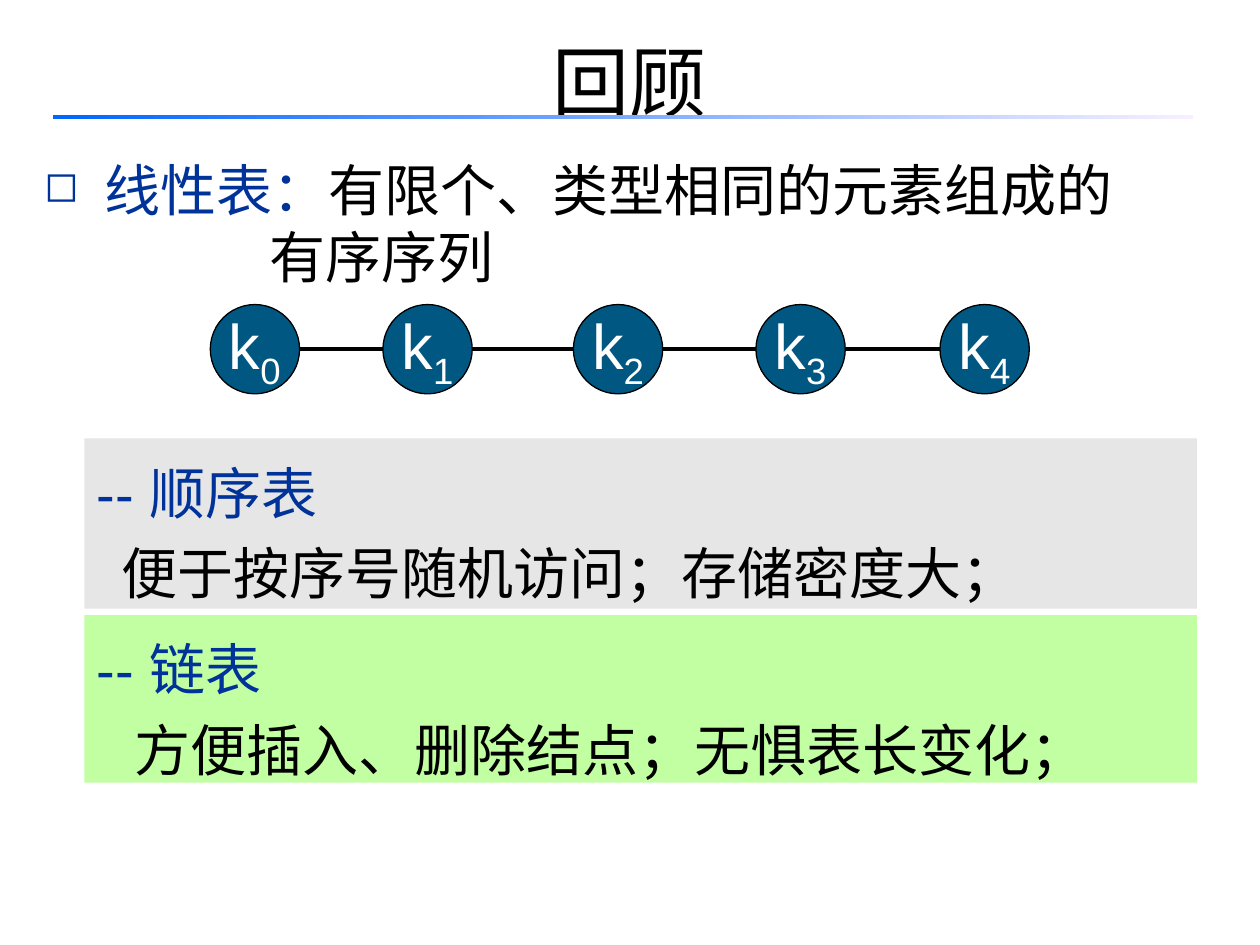
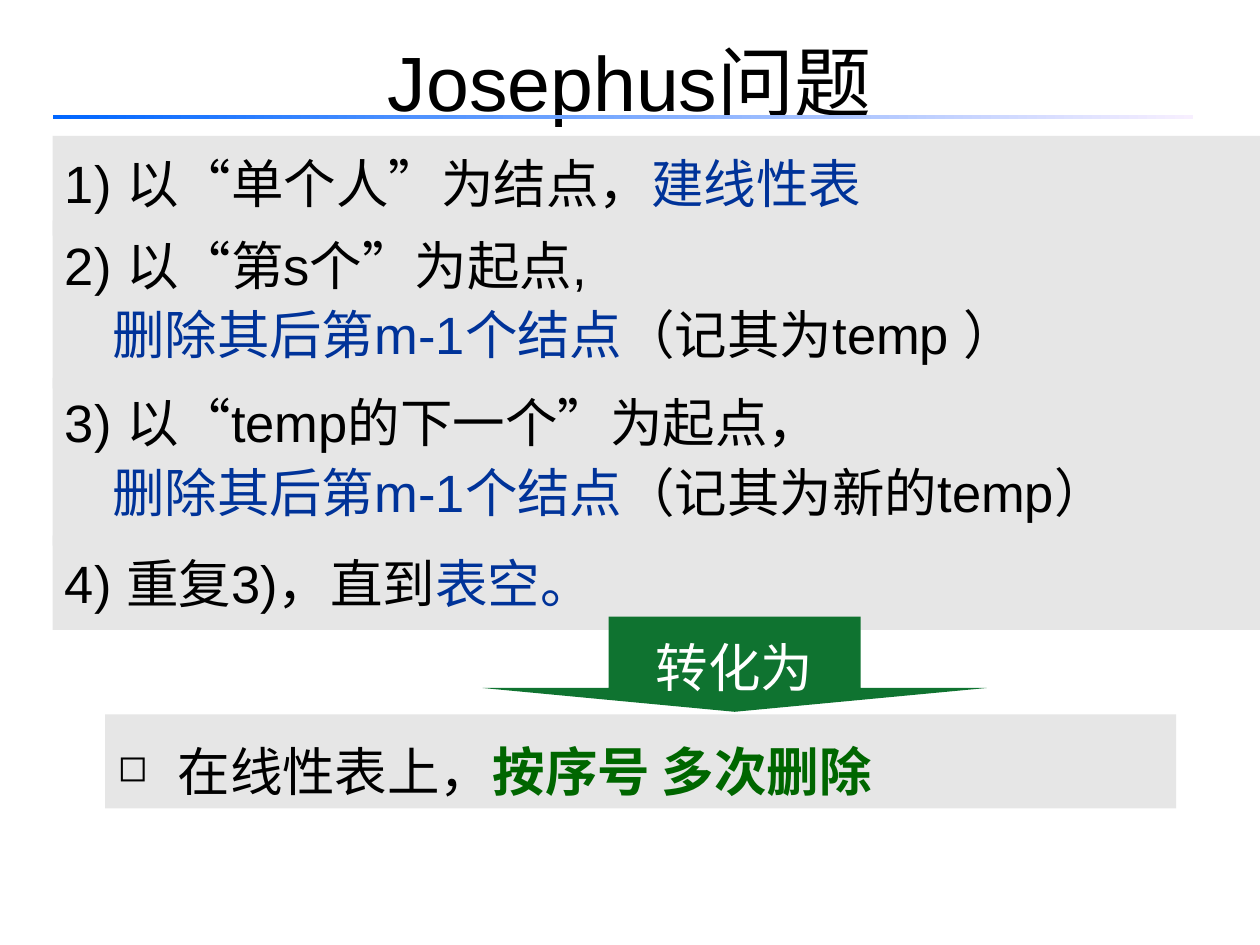
from dataclasses import dataclass
from itertools import pairwise

from lxml import etree
from pptx import Presentation
from pptx.dml.color import RGBColor
from pptx.enum.lang import MSO_LANGUAGE_ID
from pptx.enum.shapes import MSO_CONNECTOR, MSO_SHAPE
from pptx.enum.text import MSO_ANCHOR, PP_ALIGN
from pptx.oxml.ns import qn
from pptx.util import Cm, Pt

RECTANGLE, OVAL, DOWN_ARROW = MSO_SHAPE.RECTANGLE, MSO_SHAPE.OVAL, MSO_SHAPE.DOWN_ARROW
STRAIGHT = MSO_CONNECTOR.STRAIGHT
LEFT, CENTER = PP_ALIGN.LEFT, PP_ALIGN.CENTER
TOP, MIDDLE = MSO_ANCHOR.TOP, MSO_ANCHOR.MIDDLE
CHINESE = MSO_LANGUAGE_ID.SIMPLIFIED_CHINESE

BLACK = RGBColor(0x00, 0x00, 0x00)
WHITE = RGBColor(0xFF, 0xFF, 0xFF)
BLUE = RGBColor(0x00, 0x33, 0x99)
GREEN = RGBColor(0x00, 0x66, 0x00)
ARROW_GREEN = RGBColor(0x0F, 0x73, 0x30)
NODE_BLUE = RGBColor(0x00, 0x57, 0x82)
GREY = RGBColor(0xE6, 0xE6, 0xE6)
LIME = RGBColor(0xC2, 0xFF, 0xA3)
RULE_START = RGBColor(0x00, 0x66, 0xFF)
RULE_END = RGBColor(0xF7, 0xEF, 0xFF)

LATIN_FONT = "Arial"
CHINESE_FONT = "Noto Sans CJK SC"
BULLET = "◻"
BULLET_HANG = 1.21  # cm


@dataclass(frozen=True)
class Span:
    text: str
    color: RGBColor = BLACK
    bold: bool = False
    font: str | None = None
    baseline: int = 0


@dataclass(frozen=True)
class Line:
    spans: tuple[Span, ...]
    spacing: float = 1.0
    indent: float = 0  # cm
    bullet_percent: int = 0


@dataclass(frozen=True)
class Area:
    """Left, top, width and height in centimetres."""
    left: float
    top: float
    width: float
    height: float

    def lengths(self) -> tuple:
        return Cm(self.left), Cm(self.top), Cm(self.width), Cm(self.height)


@dataclass(frozen=True)
class Panel:
    area: Area
    lines: tuple[Line, ...]
    fill: RGBColor = GREY


def add_bullet(para, color: RGBColor, percent: int) -> None:
    properties = para._p.get_or_add_pPr()
    properties.set("marL", str(Cm(BULLET_HANG)))
    properties.set("indent", str(-Cm(BULLET_HANG)))
    bullet_color = etree.SubElement(properties, qn("a:buClr"))
    etree.SubElement(bullet_color, qn("a:srgbClr"), val=str(color))
    etree.SubElement(properties, qn("a:buSzPct"), val=str(percent * 1000))
    etree.SubElement(properties, qn("a:buChar"), char=BULLET)


def write(box, lines: tuple[Line, ...], size: float, align=LEFT, anchor=TOP,
          wrap: bool = True) -> None:
    frame = box.text_frame
    frame.word_wrap = wrap
    frame.vertical_anchor = anchor
    for number, line in enumerate(lines):
        para = frame.add_paragraph() if number else frame.paragraphs[0]
        para.alignment = align
        para.line_spacing = line.spacing
        if line.bullet_percent:
            add_bullet(para, line.spans[0].color, line.bullet_percent)
        elif line.indent:
            para._p.get_or_add_pPr().set("marL", str(Cm(line.indent)))
        para.font.size = Pt(size)
        para.font.name = LATIN_FONT
        for part in line.spans:
            span = para.add_run()
            span.text = part.text
            span.font.language_id = CHINESE
            span.font.color.rgb = part.color
            if part.bold:
                span.font.bold = True
            if part.font:
                span.font.name = part.font
            if part.baseline:
                span._r.get_or_add_rPr().set("baseline", str(part.baseline * 1000))


def add_filled(page, kind, area: Area, fill: RGBColor):
    shape = page.shapes.add_shape(kind, *area.lengths())
    shape.shadow.inherit = False
    shape.fill.solid()
    shape.fill.fore_color.rgb = fill
    shape.line.fill.background()
    return shape


def add_panel(page, panel: Panel, size: float) -> None:
    write(add_filled(page, RECTANGLE, panel.area, panel.fill), panel.lines, size)


def add_page(deck, title: str, font: str):
    """Blank page with the shared title and gradient rule."""
    page = deck.slides.add_slide(deck.slide_layouts[6])
    box = page.shapes.add_textbox(*Area(1.27, -0.2, 22.86, 3.18).lengths())
    write(box, (Line((Span(title, font=font),), 1.25),), 44, CENTER, MIDDLE)
    rule = add_filled(page, RECTANGLE, Area(1.06, 2.31, 22.99, 0.1), RULE_START)
    rule.fill.gradient()
    rule.fill.gradient_angle = 0
    for stop, color in zip(rule.fill.gradient_stops, (RULE_START, RULE_END)):
        stop.color.rgb = color
    return page


def add_node_chain(page) -> None:
    lefts = (4.24, 7.72, 11.56, 15.24, 18.95)
    top, diameter = 6.14, 1.8
    for index, left in enumerate(lefts):
        node = add_filled(page, OVAL, Area(left, top, diameter, diameter), NODE_BLUE)
        node.line.color.rgb = BLACK
        node.line.width = Pt(0.75)
        label = Line((Span("k", WHITE), Span(str(index), WHITE, baseline=-25)))
        write(node, (label,), 36, CENTER, MIDDLE, wrap=False)
    middle = Cm(top + diameter / 2)
    for left, following in pairwise(lefts):
        link = page.shapes.add_connector(
            STRAIGHT, Cm(left + diameter), middle, Cm(following), middle)
        link.line.color.rgb = BLACK
        link.line.width = Pt(2.5)
        etree.SubElement(link._element.spPr, qn("a:effectLst"))


def build_review(deck) -> None:
    page = add_page(deck, "回顾", CHINESE_FONT)

    # Definition of a linear list
    definition = page.shapes.add_textbox(*Area(0.64, 2.74, 24.13, 3.18).lengths())
    write(definition, (
        Line((Span("线性表：", BLUE), Span("有限个、类型相同的元素组成的")),
             1.2, bullet_percent=75),
        Line((Span("有序序列"),), indent=4.55),
    ), 32)
    add_node_chain(page)

    # The two storage forms
    for panel in (
        Panel(Area(1.7, 8.84, 22.43, 3.43), (
            Line((Span("-- 顺序", BLUE), Span("表", BLUE, font=CHINESE_FONT)), 1.2),
            Line((Span("便于按序号随机访问；存储密度大；"),), 1.2, 0.5))),
        Panel(Area(1.7, 12.4, 22.43, 3.38), (
            Line((Span("-- 链表", BLUE),), 1.2),
            Line((Span("方便插入、删除结点；无惧表长变化；"),), 1.2, 0.76)), LIME),
    ):
        add_panel(page, panel, 32)


def build_josephus(deck) -> None:
    page = add_page(deck, "Josephus问题", LATIN_FONT)
    left, width = 1.06, 24.34
    removal = Span("删除其后第m-1个结点", BLUE)

    # Steps of the method
    for panel in (
        Panel(Area(left, 2.74, width, 2.01), (
            Line((Span("1) 以“单个人”为结点，"), Span("建线性表", BLUE)), 1.14),)),
        Panel(Area(left, 4.45, width, 3.38), (
            Line((Span("2) 以“第s个”为起点,"),), 1.1),
            Line((removal, Span("（记其为temp ）")), 1.1, 0.95))),
        Panel(Area(left, 7.62, width, 3.38), (
            Line((Span("3) 以“temp的下一个”为起点，"),), 1.1),
            Line((removal, Span("（记其为新的temp）")), 1.1, 0.95))),
        Panel(Area(left, 10.8, width, 1.9), (
            Line((Span("4) 重复3)，直到"), Span("表空。", BLUE)), 1.14),)),
    ):
        add_panel(page, panel, 30)

    # Reduction to list operations
    arrow = add_filled(page, DOWN_ARROW, Area(9.73, 12.43, 10.16, 1.92), ARROW_GREEN)
    arrow.adjustments[0] = 0.5
    arrow.adjustments[1] = 0.25
    write(arrow, (Line((Span("转化为", WHITE),), 1.25),), 30, CENTER, MIDDLE)
    add_panel(page, Panel(Area(2.12, 14.4, 21.59, 1.9), (
        Line((Span("在线性表上，"), Span("按序号 多次删除", GREEN, bold=True)),
             1.3, bullet_percent=70),)), 30)


def main() -> None:
    deck = Presentation()
    deck.slide_width, deck.slide_height = Cm(25.4), Cm(19.05)
    build_review(deck)
    build_josephus(deck)
    deck.save("out.pptx")


if __name__ == "__main__":
    main()
